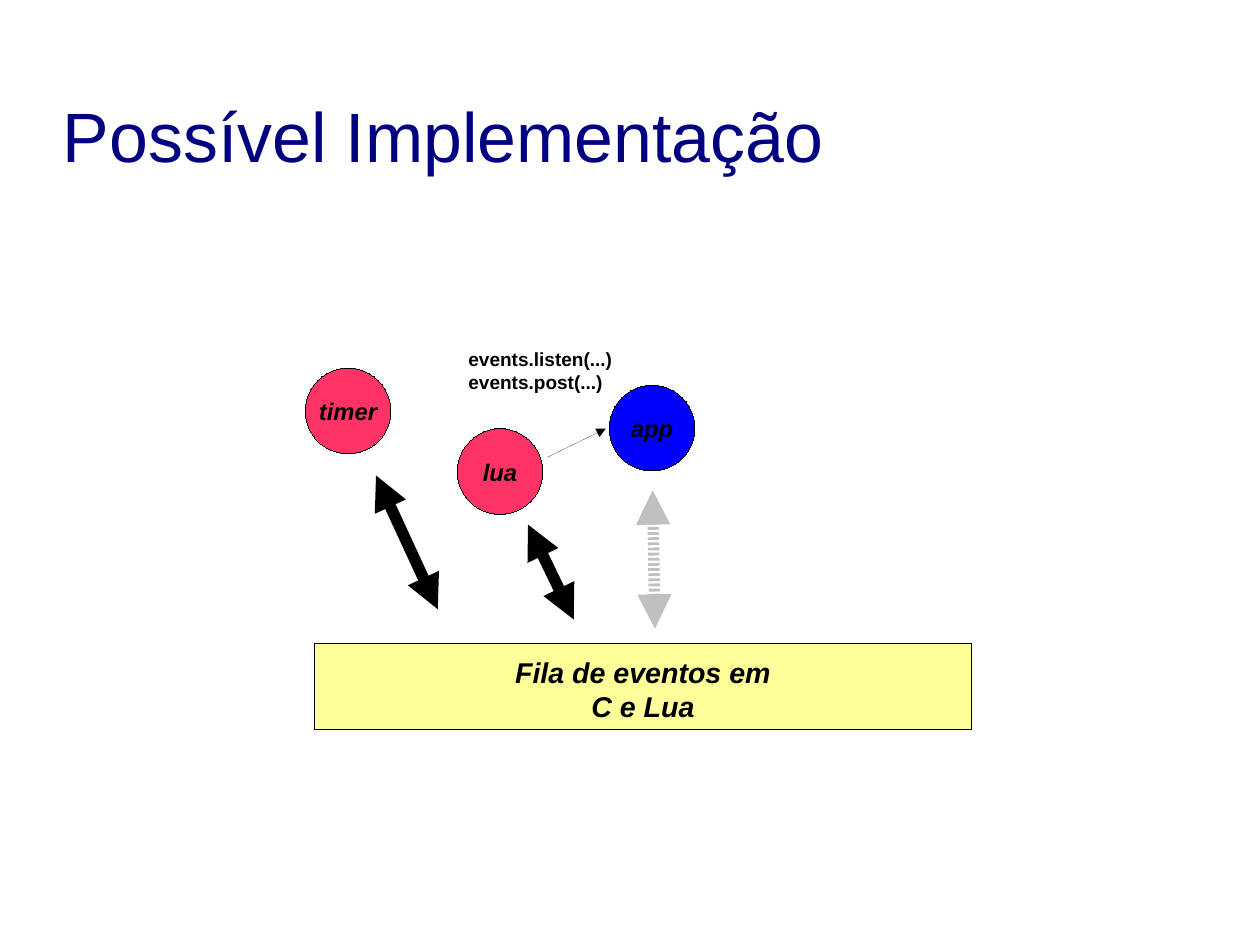
from pptx import Presentation
from pptx.dml.color import RGBColor
from pptx.enum.shapes import MSO_CONNECTOR as CONN, MSO_SHAPE as SHAPE
from pptx.enum.text import MSO_ANCHOR as ANCHOR, PP_ALIGN as ALIGN
from pptx.oxml.ns import qn
from pptx.util import Inches, Pt
from lxml.etree import SubElement


def color(value):
    return RGBColor.from_string(value)


def write(tf, text, size, fill="000000", bold=True, italic=True,
          align=ALIGN.CENTER, anchor=ANCHOR.MIDDLE, wrap=True, inset=(0.1, 0.05, 0.05)):
    tf.word_wrap = wrap
    tf.vertical_anchor = anchor
    side, top, bottom = inset
    tf.margin_left = tf.margin_right = Inches(side)
    tf.margin_top, tf.margin_bottom = Inches(top), Inches(bottom)
    for i, line in enumerate(text.split("\n")):
        p = tf.add_paragraph() if i else tf.paragraphs[0]
        p.alignment = align
        r = p.add_run()
        r.text = line
        r.font.name = "Arial"
        r.font.size = Pt(size)
        r.font.bold = bold
        r.font.italic = italic
        r.font.color.rgb = color(fill)


prs = Presentation()
prs.slide_width = Inches(28 / 2.54)
prs.slide_height = Inches(21 / 2.54)
s = prs.slides.add_slide(prs.slide_layouts[5])

title = s.shapes.title
title.left, title.top = Inches(0.55), Inches(0.49)
title.width, title.height = Inches(8.65), Inches(1.38)
write(title.text_frame, "Possível Implementação", 44, fill="000080", bold=False,
      italic=False, align=ALIGN.LEFT, inset=(0, 0, 0))

nodes = [
    (SHAPE.RECTANGLE, 2.75, 5.63, 5.75, "FFFF99", "Fila de eventos em C e Lua", 18, True, (1.72, 0.09, 0.05)),
    (SHAPE.OVAL, 5.33, 3.37, 0.75, "0000FF", "app", 15, False, (0, 0.05, 0.05)),
    (SHAPE.OVAL, 4, 3.75, 0.75, "FF3366", "lua", 15, False, (0, 0.05, 0.05)),
    (SHAPE.OVAL, 2.67, 3.22, 0.75, "FF3366", "timer", 15, False, (0, 0.05, 0.05)),
]
for kind, x, y, w, fill, text, size, wrap, inset in nodes:
    sp = s.shapes.add_shape(kind, Inches(x), Inches(y), Inches(w), Inches(0.75))
    sp.shadow.inherit = False
    sp.fill.solid()
    sp.fill.fore_color.rgb = color(fill)
    sp.line.color.rgb = color("000000")
    sp.line._get_or_add_ln().set("w", "0")
    write(sp.text_frame, text, size, wrap=wrap, inset=inset)

calls = s.shapes.add_textbox(Inches(4), Inches(2.99), Inches(1.5), Inches(0.47))
write(calls.text_frame, "events.listen(...)\nevents.post(...)", 12, italic=False,
      align=ALIGN.LEFT, anchor=ANCHOR.TOP)

both, end = ("headEnd", "tailEnd"), ("tailEnd",)
arrows = [
    (3.83, 5.33, 3.29, 4.16, "000000", 7.2, both, False),
    (5.02, 5.42, 4.62, 4.59, "000000", 7.2, both, False),
    (5.73, 5.5, 5.71, 4.29, "C0C0C0", 7.2, both, True),
    (4.79, 4, 5.3, 3.75, "000000", 0, end, False),
]
for x1, y1, x2, y2, stroke, width, heads, dashed in arrows:
    c = s.shapes.add_connector(CONN.STRAIGHT, Inches(x1), Inches(y1), Inches(x2), Inches(y2))
    c.line.color.rgb = color(stroke)
    ln = c.line._get_or_add_ln()
    ln.set("w", str(Pt(width)))
    if dashed:
        dash = SubElement(ln, qn("a:custDash"))
        SubElement(dash, qn("a:ds"), d="25000", sp="20000")
    for head in heads:
        SubElement(ln, qn("a:" + head), type="triangle")
    SubElement(c._element.spPr, qn("a:effectLst"))

prs.save("out.pptx")
